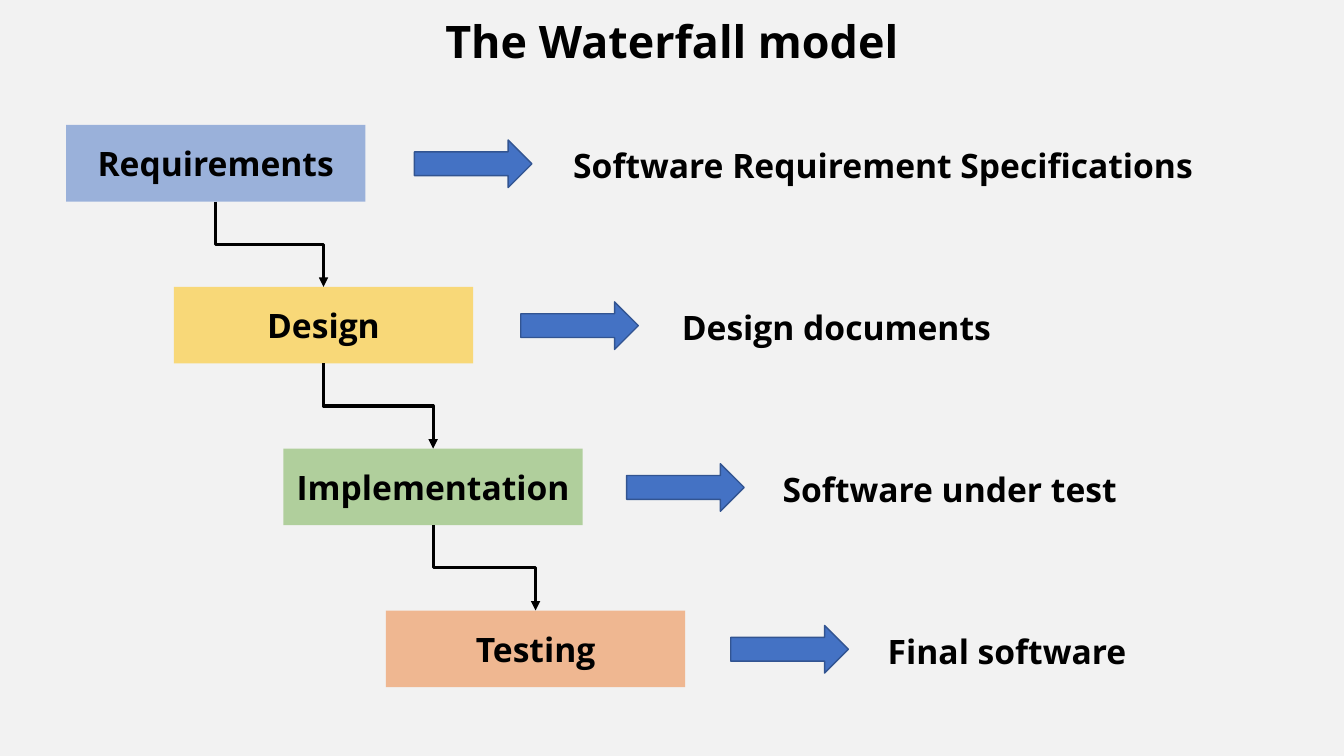
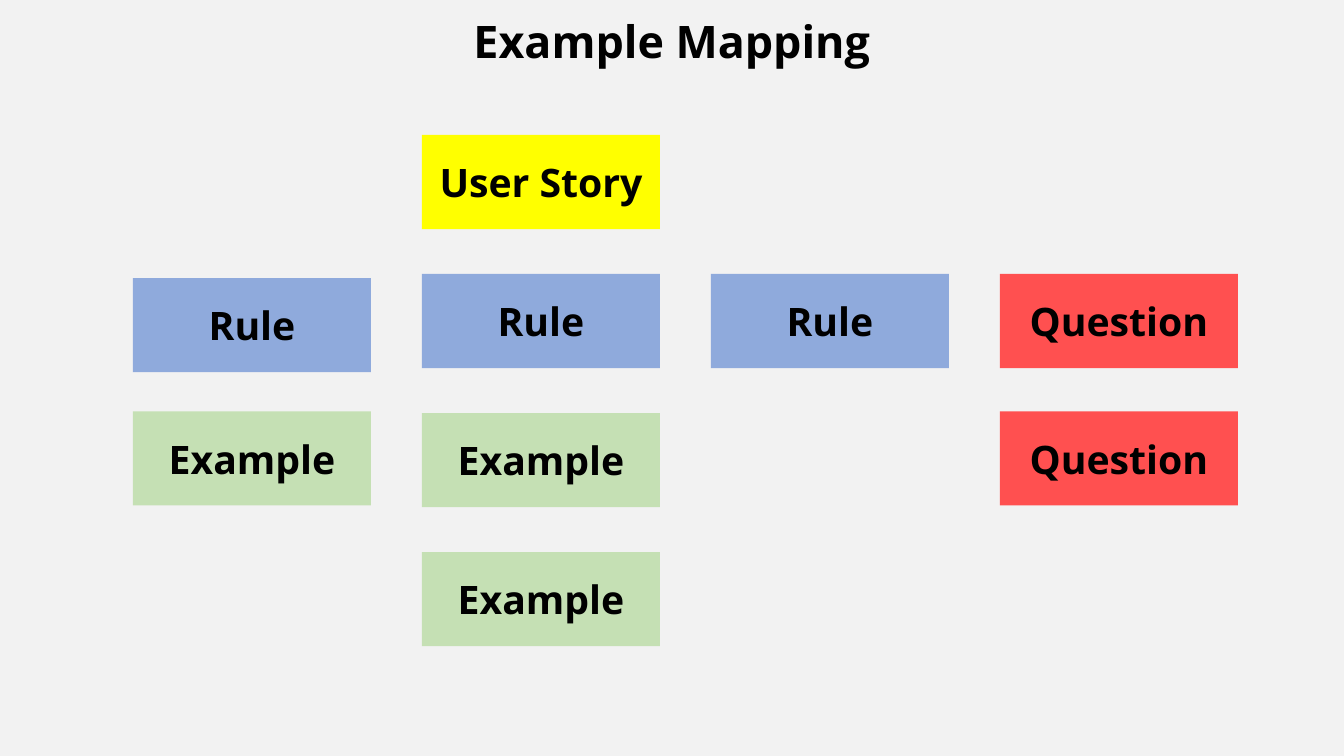
import itertools

import pptx
import pptx.dml.color
import pptx.enum.dml
import pptx.enum.shapes
import pptx.enum.text
import pptx.oxml
import pptx.oxml.ns
import pptx.util

Pt = pptx.util.Pt
SHAPES = pptx.enum.shapes.MSO_SHAPE
ALIGN = pptx.enum.text.PP_ALIGN

SLIDE_WIDTH, SLIDE_HEIGHT = 960, 540
BACKGROUND = "F2F2F2"
BLACK = "000000"
BLUE, GOLD, GREEN, ORANGE = "4472C4", "FFC000", "70AD47", "ED7D31"
ARROW_EDGE = "325491"
YELLOW, LIGHT_BLUE, LIGHT_GREEN, RED = "FFFF00", "8FAADC", "C5E0B4", "FF5050"


def paint(fill, color, opacity=100):
    """Make a fill solid; opacity is a percentage."""
    fill.solid()
    fill.fore_color.rgb = pptx.dml.color.RGBColor.from_string(color)
    if opacity < 100:
        tag = pptx.oxml.ns.qn("a:srgbClr")
        color_element = next(fill._xPr.iter(tag))
        add_xml(color_element, f'alpha val="{opacity * 1000}"')


def add_xml(parent, tag_with_attributes):
    namespace = pptx.oxml.ns.nsdecls("a")
    parent.append(pptx.oxml.parse_xml(f"<a:{tag_with_attributes} {namespace}/>"))


def write(box, text, size=24, align=ALIGN.LEFT, font="Open Sans", color=BLACK, bold=True):
    para = box.text_frame.paragraphs[0]
    para.alignment = align
    span = para.add_run()
    span.text = text
    span.font.name = font
    span.font.size = Pt(size)
    span.font.bold = bold
    paint(span.font.fill, color)


class Slides:
    """The deck's shared style and the page being drawn."""

    def __init__(self):
        self.deck = pptx.Presentation()
        self.deck.slide_width = Pt(SLIDE_WIDTH)
        self.deck.slide_height = Pt(SLIDE_HEIGHT)
        paint(self.deck.slide_master.background.fill, BACKGROUND)
        self.page = None

    def new_page(self, title, title_width):
        self.page = self.deck.slides.add_slide(self.deck.slide_layouts[6])
        left = (SLIDE_WIDTH - title_width) / 2
        self.label(title, left, 6, title_width, 46, size=32, align=ALIGN.CENTER)

    def label(self, text, left, top, width, height, **text_format):
        box = self.page.shapes.add_textbox(Pt(left), Pt(top), Pt(width), Pt(height))
        box.text_frame.word_wrap = False
        box.text_frame.auto_size = pptx.enum.text.MSO_AUTO_SIZE.SHAPE_TO_FIT_TEXT
        write(box, text, **text_format)

    def shape(self, kind, left, top, width, height, color, opacity=100):
        shape = self.page.shapes.add_shape(kind, Pt(left), Pt(top), Pt(width), Pt(height))
        shape.shadow.inherit = False
        paint(shape.fill, color, opacity)
        shape.line.fill.background()
        return shape

    def card(self, text, left, top, width, height, color, opacity=100, size=24):
        card = self.shape(SHAPES.RECTANGLE, left, top, width, height, color, opacity)
        write(card, text, size=size, align=ALIGN.CENTER)
        return card

    def block_arrow(self, left, top):
        arrow = self.shape(SHAPES.RIGHT_ARROW, left, top, 84, 34, BLUE)
        paint(arrow.line.fill, ARROW_EDGE)
        arrow.line.width = Pt(1)

    def step_down(self, upper, lower):
        """Join the bottom of one card to the top of the next: down, across, down."""
        start_x, start_y = upper.left + upper.width // 2, upper.top + upper.height
        end_x, end_y = lower.left + lower.width // 2, lower.top
        connector = self.page.shapes.add_connector(
            pptx.enum.shapes.MSO_CONNECTOR.ELBOW, start_x, start_y, end_x, end_y)
        connector.begin_connect(upper, 2)
        connector.end_connect(lower, 0)

        # A quarter turn swaps the frame's sides around its centre.
        across, down = end_x - start_x, end_y - start_y
        connector.left = (start_x + end_x - down) // 2
        connector.top = (start_y + end_y - across) // 2
        connector.width, connector.height = down, across
        properties = connector._element.spPr
        frame = properties.find(pptx.oxml.ns.qn("a:xfrm"))
        frame.set("rot", "16200000")
        frame.set("flipH", "1")

        paint(connector.line.fill, BLACK)
        connector.line.width = Pt(2.25)
        add_xml(connector.line._ln, 'tailEnd type="triangle"')
        add_xml(properties, "effectLst")


def draw_waterfall(slides):
    slides.new_page("The Waterfall model", 342)
    first_top, row_step, inset = 89.3, 115.6, 10.7
    # Stage, colour, left; arrow left; result, left, width
    stages = [
        ("Requirements", BLUE, 47.2, 296, "Software Requirement Specifications", 402.4, 462),
        ("Design", GOLD, 124.2, 372, "Design documents", 480, 238),
        ("Implementation", GREEN, 202.5, 447.6, "Software under test", 552, 256),
        ("Testing", ORANGE, 275.7, 522, "Final software", 627, 187),
    ]
    cards = []
    for row, (stage, color, left, arrow_left, result, result_left, width) in enumerate(stages):
        top = first_top + row * row_step
        cards.append(slides.card(stage, left, top, 213.8, 54.7, color, opacity=50))
        slides.block_arrow(arrow_left, top + inset)
        slides.label(result, result_left, top + inset, width, 36)
    for upper, lower in itertools.pairwise(cards):
        slides.step_down(upper, lower)


def draw_example_mapping(slides):
    slides.new_page("Example Mapping", 300)
    first_left, column_step = 95, 206.4
    first_top, row_step = 96.4, 99.3
    colors = {"User Story": YELLOW, "Rule": LIGHT_BLUE,
              "Example": LIGHT_GREEN, "Question": RED}
    # Text, column, row, vertical offset from the grid
    cards = [
        ("User Story", 1, 0, 0),
        ("Rule", 0, 1, 3),
        ("Rule", 1, 1, 0),
        ("Rule", 2, 1, 0),
        ("Question", 3, 1, 0),
        ("Example", 0, 2, -1.2),
        ("Example", 1, 2, 0),
        ("Question", 3, 2, -1.2),
        ("Example", 1, 3, 0),
    ]
    for text, column, row, offset in cards:
        left = first_left + column * column_step
        top = first_top + row * row_step + offset
        slides.card(text, left, top, 170, 67.2, colors[text], size=28)


def main():
    slides = Slides()
    draw_waterfall(slides)
    draw_example_mapping(slides)
    slides.deck.save("out.pptx")


if __name__ == "__main__":
    main()
